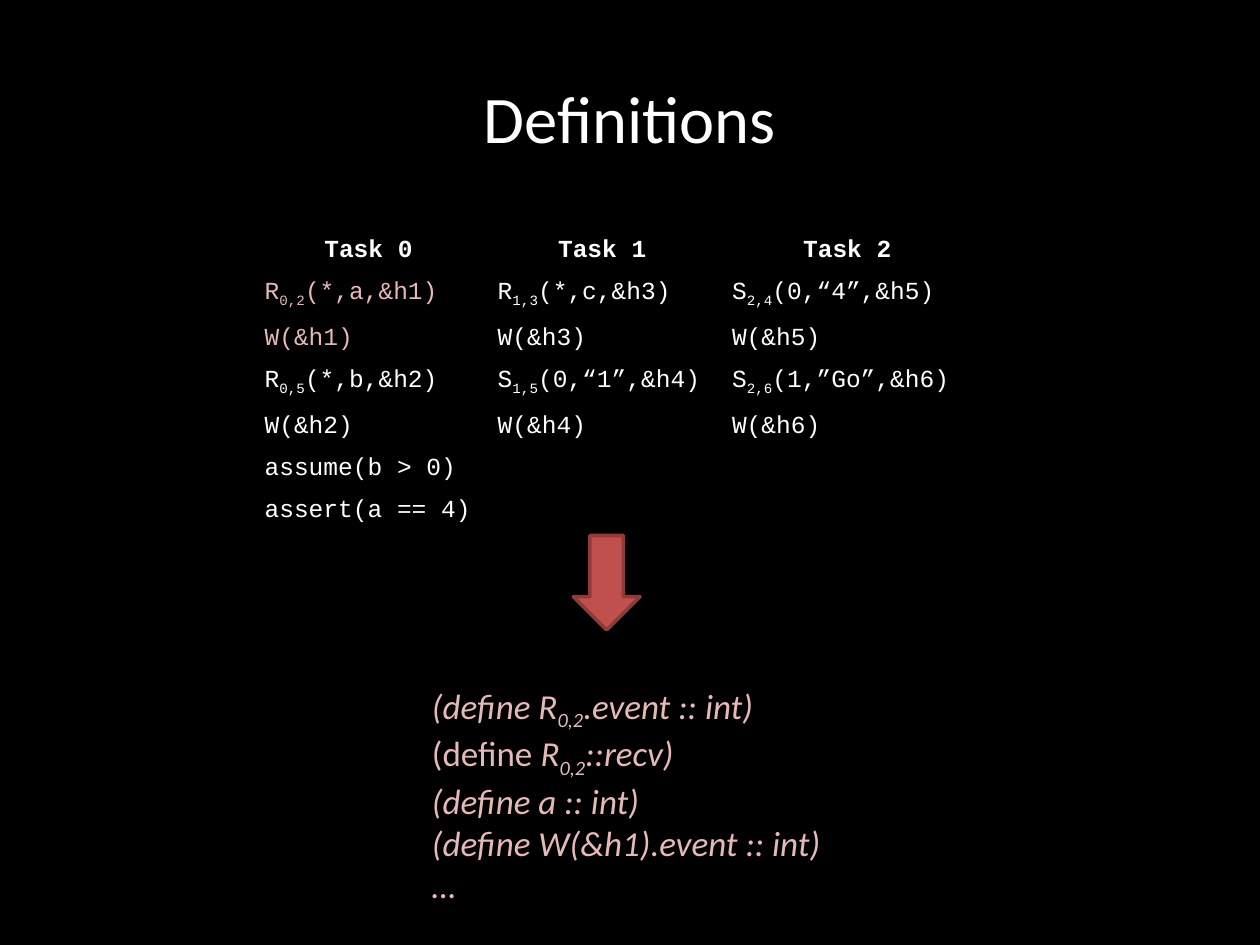
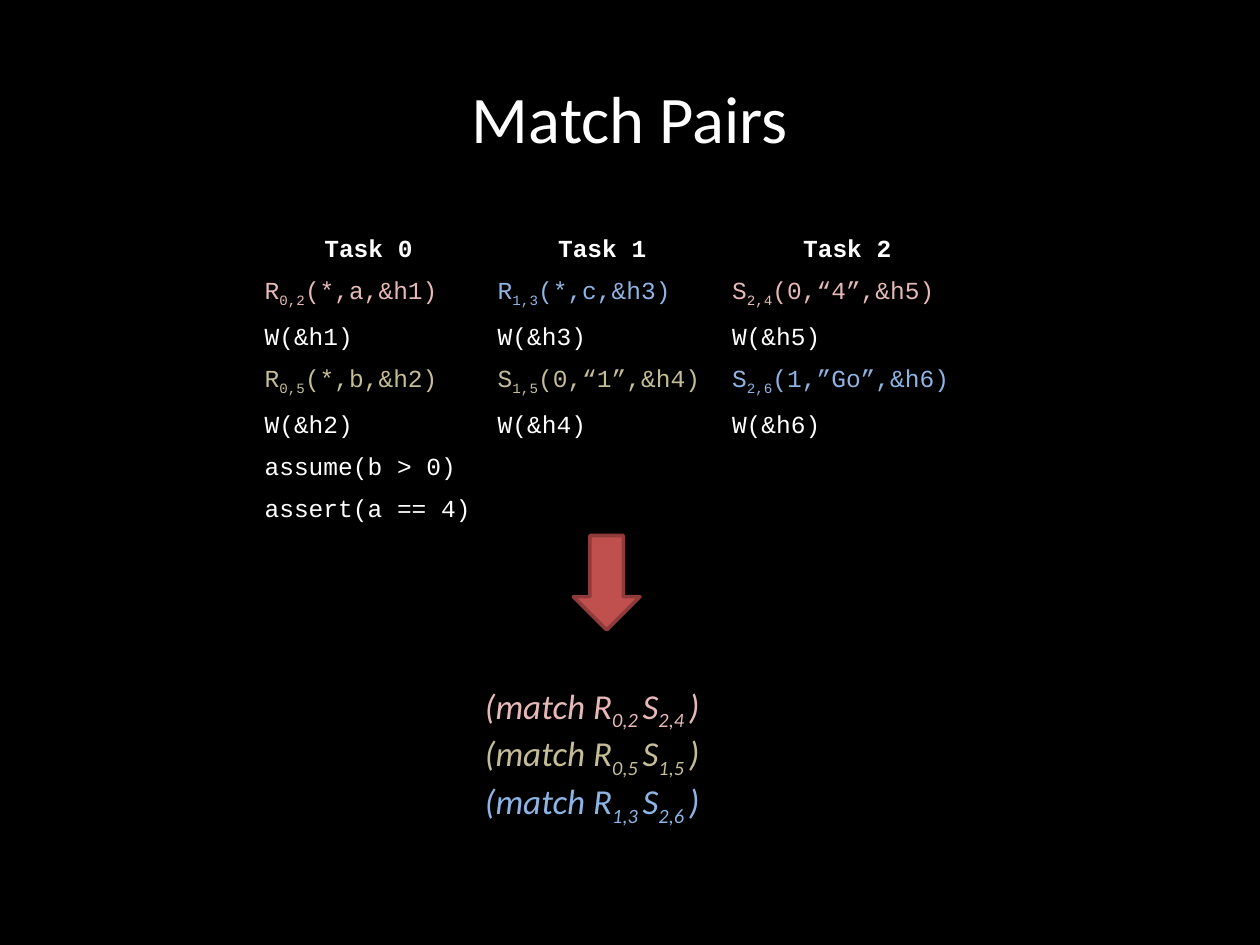
from lxml.etree import SubElement
from pptx import Presentation
from pptx.dml.color import RGBColor
from pptx.enum.shapes import MSO_SHAPE
from pptx.enum.text import MSO_ANCHOR, MSO_AUTO_SIZE, PP_ALIGN
from pptx.oxml.ns import qn
from pptx.util import Inches, Pt

BLACK = RGBColor(0x00, 0x00, 0x00)
WHITE = RGBColor(0xFF, 0xFF, 0xFF)
PINK = RGBColor(0xE6, 0xB9, 0xB8)
BLUE = RGBColor(0x8E, 0xB4, 0xE3)
TAN = RGBColor(0xC4, 0xBD, 0x97)
RED = RGBColor(0xC0, 0x50, 0x4D)
DARK_RED = RGBColor(0x8E, 0x3B, 0x39)

PLAIN_TABLE_STYLE = "{2D5ABB26-0587-4C30-8999-92F81FD0307C}"
TITLE_FORMAT = {"name": "Calibri", "size": Pt(38)}
HEADER_FORMAT = {"name": "Courier New", "size": Pt(14), "bold": True}
CODE_FORMAT = {"name": "Courier New", "size": Pt(14), "bold": False}
FORMULA_FORMAT = {"name": "Calibri", "size": Pt(20), "italic": True}
UPRIGHT_FORMAT = {"name": "Calibri", "size": Pt(20), "italic": False}

COLUMN_WIDTHS = [1.85, 1.86, 2.03]
ROW_HEIGHTS = [0.28] + [0.22] * 6
TASK_ROWS = [
    ["Task 0", "Task 1", "Task 2"],
    ["R_0,2_(*,a,&h1)", "R_1,3_(*,c,&h3)", "S_2,4_(0,“4”,&h5)"],
    ["W(&h1)", "W(&h3)", "W(&h5)"],
    ["R_0,5_(*,b,&h2)", "S_1,5_(0,“1”,&h4)", "S_2,6_(1,”Go”,&h6)"],
    ["W(&h2)", "W(&h4)", "W(&h6)"],
    ["assume(b > 0)", "", ""],
    ["assert(a == 4)", "", ""],
]

SLIDES = [
    {
        "title": "Definitions",
        "highlights": {(1, 0): PINK, (2, 0): PINK},
        "formula_box": (3.33, 5.38, 4.83, 1.78),
        "formulas": [
            [("(define R_0,2_.event :: int)", PINK, FORMULA_FORMAT)],
            [("(define ", PINK, UPRIGHT_FORMAT), ("R_0,2_::recv)", PINK, FORMULA_FORMAT)],
            [("(define a :: int)", PINK, FORMULA_FORMAT)],
            [("(define W(&h1).event :: int)", PINK, FORMULA_FORMAT)],
            [("…", PINK, FORMULA_FORMAT)],
        ],
    },
    {
        "title": "Match Pairs",
        "highlights": {
            (1, 0): PINK, (1, 2): PINK,
            (1, 1): BLUE, (3, 2): BLUE,
            (3, 0): TAN, (3, 1): TAN,
        },
        "formula_box": (3.75, 5.38, 4.08, 1.45),
        "formulas": [
            [("(match R_0,2 _S_2,4 _)", PINK, FORMULA_FORMAT)],
            [("(match R_0,5 _S_1,5 _)", TAN, FORMULA_FORMAT)],
            [("(match R_1,3 _S_2,6 _)", BLUE, FORMULA_FORMAT)],
        ],
    },
]


def add_runs(paragraph, text, color, font_format):
    for index, piece in enumerate(text.split("_")):
        run = paragraph.add_run()
        run.text = piece
        for name, value in font_format.items():
            setattr(run.font, name, value)
        run.font.color.rgb = color
        if index % 2:
            run.font._element.set("baseline", "-25000")


def add_text_box(slide, box, attributes):
    text_frame = slide.shapes.add_textbox(*map(Inches, box)).text_frame
    for name, value in attributes.items():
        setattr(text_frame, name, value)
    return text_frame


presentation = Presentation()
presentation.slide_width = Inches(10)
presentation.slide_height = Inches(7.5)

for content in SLIDES:
    slide = presentation.slides.add_slide(presentation.slide_layouts[6])
    slide.background.fill.solid()
    slide.background.fill.fore_color.rgb = BLACK

    title_frame = add_text_box(
        slide, (0.5, 0.3, 9, 1.25),
        {"word_wrap": True, "vertical_anchor": MSO_ANCHOR.MIDDLE},
    )
    title_frame.paragraphs[0].alignment = PP_ALIGN.CENTER
    add_runs(title_frame.paragraphs[0], content["title"], WHITE, TITLE_FORMAT)

    table = slide.shapes.add_table(
        len(TASK_ROWS), len(COLUMN_WIDTHS),
        Inches(2), Inches(1.83), Inches(sum(COLUMN_WIDTHS)), Inches(sum(ROW_HEIGHTS)),
    ).table
    table.horz_banding = False
    table._tbl.tblPr.find(qn("a:tableStyleId")).text = PLAIN_TABLE_STYLE
    for column, width in zip(table.columns, COLUMN_WIDTHS):
        column.width = Inches(width)
    for row, height in zip(table.rows, ROW_HEIGHTS):
        row.height = Inches(height)

    for row_index, texts in enumerate(TASK_ROWS):
        for column_index, text in enumerate(texts):
            cell = table.cell(row_index, column_index)
            cell.fill.solid()
            cell.fill.fore_color.rgb = BLACK
            paragraph = cell.text_frame.paragraphs[0]
            if row_index == 0:
                paragraph.alignment = PP_ALIGN.CENTER
            if text:
                color = content["highlights"].get((row_index, column_index), WHITE)
                add_runs(paragraph, text, color, CODE_FORMAT if row_index else HEADER_FORMAT)
            else:
                end_format = SubElement(paragraph._p, qn("a:endParaRPr"), sz="1400")
                SubElement(end_format, qn("a:latin"), typeface="Courier New")

    formula_frame = add_text_box(
        slide, content["formula_box"],
        {"word_wrap": True, "auto_size": MSO_AUTO_SIZE.SHAPE_TO_FIT_TEXT},
    )
    for index, segments in enumerate(content["formulas"]):
        paragraph = formula_frame.add_paragraph() if index else formula_frame.paragraphs[0]
        for segment in segments:
            add_runs(paragraph, *segment)

    arrow = slide.shapes.add_shape(
        MSO_SHAPE.DOWN_ARROW, Inches(4.55), Inches(4.25), Inches(0.53), Inches(0.75)
    )
    arrow.shadow.inherit = False
    arrow.fill.solid()
    arrow.fill.fore_color.rgb = RED
    arrow.line.color.rgb = DARK_RED
    arrow.line.width = Pt(2)

presentation.save("out.pptx")
